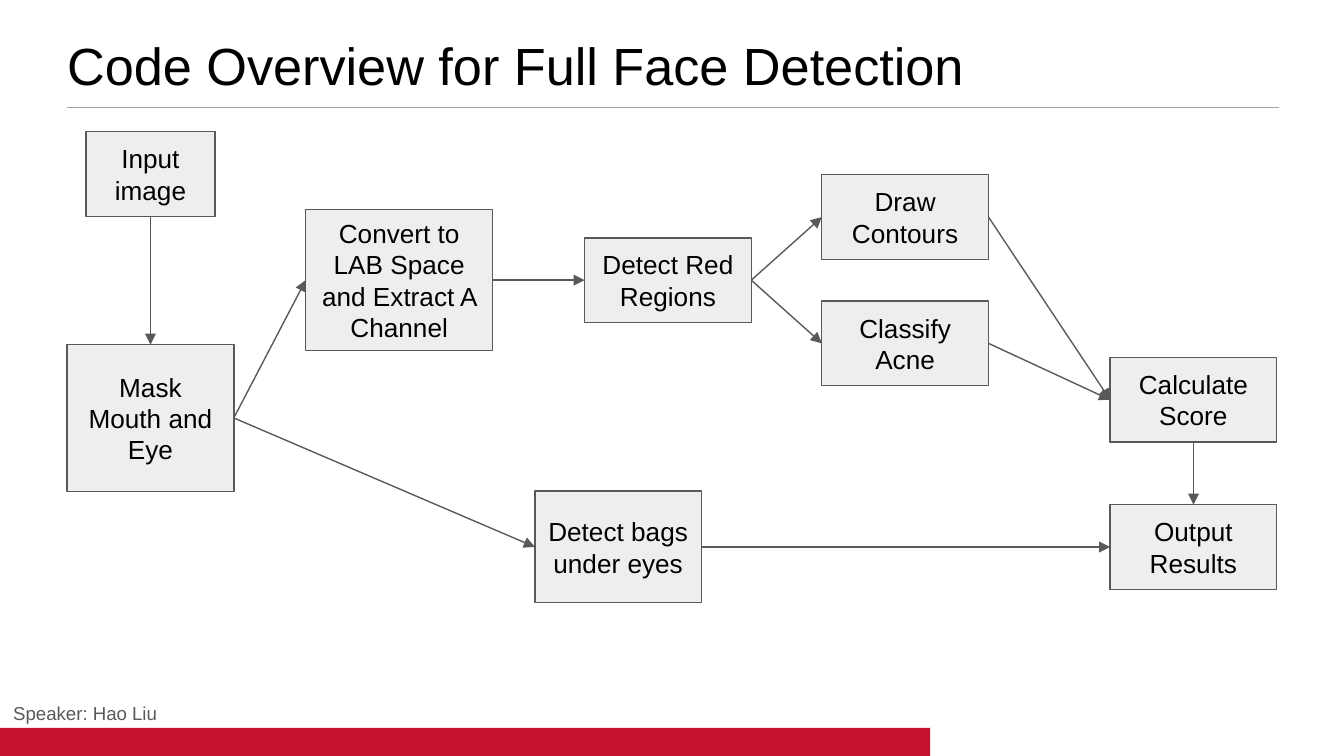
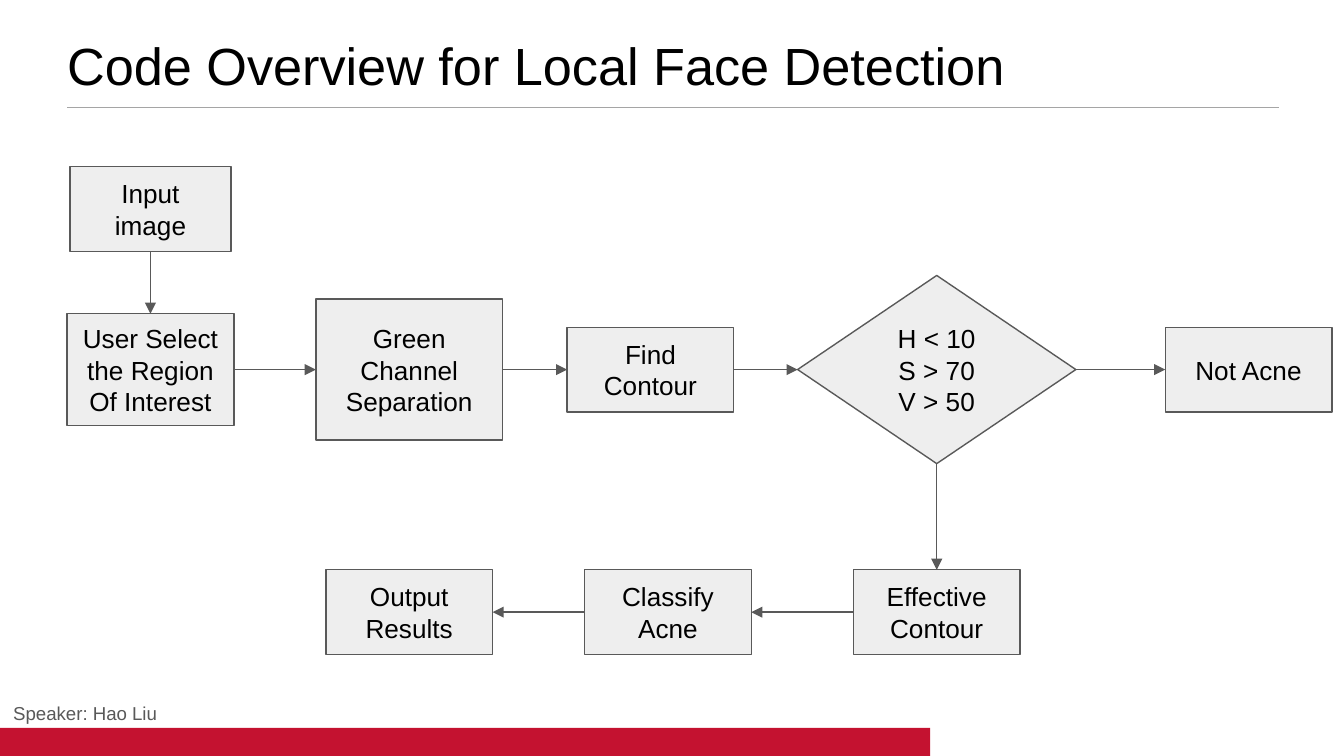
from lxml import etree
from pptx import Presentation
from pptx.dml.color import RGBColor
from pptx.enum.shapes import MSO_CONNECTOR, MSO_SHAPE
from pptx.enum.text import MSO_ANCHOR, PP_ALIGN
from pptx.oxml.ns import qn
from pptx.util import Inches, Pt

PROCESS = MSO_SHAPE.FLOWCHART_PROCESS
DECISION = MSO_SHAPE.FLOWCHART_DECISION
RECTANGLE = MSO_SHAPE.RECTANGLE
STRAIGHT = MSO_CONNECTOR.STRAIGHT
TOP_ANCHOR, MIDDLE_ANCHOR = MSO_ANCHOR.TOP, MSO_ANCHOR.MIDDLE
LEFT_ALIGN, CENTER_ALIGN = PP_ALIGN.LEFT, PP_ALIGN.CENTER

BLACK = RGBColor(0x00, 0x00, 0x00)
DARK_GREY = RGBColor(0x59, 0x59, 0x59)
RULE_GREY = RGBColor(0xA5, 0xA5, 0xA5)
STEP_FILL = RGBColor(0xEE, 0xEE, 0xEE)
BAND_RED = RGBColor(0xC4, 0x12, 0x30)
FONT = "Arial"

SLIDE_W, SLIDE_H = Inches(10), Inches(5.625)
UNIT = SLIDE_W / 100  # one column or row of the grid

# Regions as left, top, width, height in grid units
TITLE_BOX = (5, 3, 90, 4.8)
SPEAKER_BOX = (0, 51.4, 24.5, 2.7)
BAND_BOX = (0, 54.17, 69.2, 2.08)
RULE_ENDS = (5, 95.2, 8)
FLOW_ORIGIN = (5, 8)

# Step sizes as columns, rows
STEP = (12.4, 6.3)
THREE_LINE = (12.4, 8.3)
MASK = (12.4, 10.9)
WIDE = (13.9, 10.5)
NARROW_INPUT, INPUT = (9.6, 6.3), (12, 6.3)
DIAMOND = (20.7, 14)

# Connection sites at the two ends of an arrow
DOWN, RIGHT, LEFT = (2, 0), (3, 1), (1, 3)

# Steps: name -> (text, centre column, centre row, size)
FULL_STEPS = {
    "input": ("Input\nimage", 6.2, 4.95, NARROW_INPUT),
    "mask": ("Mask Mouth and Eye", 6.2, 23.1, MASK),
    "convert": ("Convert to LAB Space and Extract A Channel", 24.7, 12.85, WIDE),
    "bags": ("Detect bags under eyes", 41, 32.7, THREE_LINE),
    "red": ("Detect Red Regions", 44.7, 12.85, STEP),
    "draw": ("Draw Contours", 62.35, 8.15, STEP),
    "classify": ("Classify Acne", 62.35, 17.55, STEP),
    "score": ("Calculate Score", 83.8, 21.75, STEP),
    "output": ("Output Results", 83.8, 32.7, STEP),
}
FULL_ARROWS = [
    ("input", "mask", DOWN), ("mask", "convert", RIGHT),
    ("mask", "bags", RIGHT), ("convert", "red", RIGHT),
    ("red", "draw", RIGHT), ("red", "classify", RIGHT),
    ("draw", "score", RIGHT), ("classify", "score", RIGHT),
    ("score", "output", DOWN), ("bags", "output", RIGHT),
]

MAIN_ROW, RETURN_ROW = 19.5, 37.55
LOCAL_STEPS = {
    "input": ("Input\nimage", 6.2, 7.55, INPUT),
    "region": ("User Select the Region Of Interest", 6.2, MAIN_ROW, THREE_LINE),
    "green": ("Green Channel Separation", 25.45, MAIN_ROW, WIDE),
    "find": ("Find Contour", 43.4, MAIN_ROW, STEP),
    "check": ("H < 10\nS > 70\nV > 50", 64.7, MAIN_ROW, DIAMOND),
    "not acne": ("Not Acne", 87.9, MAIN_ROW, STEP),
    "effective": ("Effective Contour", 64.7, RETURN_ROW, STEP),
    "classify": ("Classify Acne", 44.7, RETURN_ROW, STEP),
    "output": ("Output Results", 25.45, RETURN_ROW, STEP),
}
LOCAL_ARROWS = [
    ("input", "region", DOWN), ("region", "green", RIGHT),
    ("green", "find", RIGHT), ("find", "check", RIGHT),
    ("check", "not acne", RIGHT), ("check", "effective", DOWN),
    ("effective", "classify", LEFT), ("classify", "output", LEFT),
]


def grid(*lengths):
    return [round(length * UNIT) for length in lengths]


def write(holder, text, size, color=BLACK, align=LEFT_ALIGN,
          anchor=TOP_ANCHOR, inset=0.1, spacing=None):
    frame = holder.text_frame
    frame.word_wrap = True
    frame.vertical_anchor = anchor
    frame.margin_left = frame.margin_right = Inches(inset)
    frame.margin_top = frame.margin_bottom = Inches(inset)
    for index, line in enumerate(text.split("\n")):
        paragraph = frame.add_paragraph() if index else frame.paragraphs[0]
        paragraph.alignment = align
        if spacing:
            paragraph.line_spacing = spacing
        run = paragraph.add_run()
        run.text = line
        run.font.name = FONT
        run.font.size = Pt(size)
        run.font.color.rgb = color


def add_block(slide, preset, box, fill, outline=None):
    block = slide.shapes.add_shape(preset, *grid(*box))
    block.shadow.inherit = False
    block.fill.solid()
    block.fill.fore_color.rgb = fill
    if outline is None:
        block.line.fill.background()
    else:
        block.line.color.rgb = outline
        block.line.width = Pt(0.75)
    return block


def add_line(slide, ends, color, width):
    line = slide.shapes.add_connector(STRAIGHT, *grid(*ends))
    line.line.color.rgb = color
    line.line.width = Pt(width)
    etree.SubElement(line._element.spPr, qn("a:effectLst"))
    return line


def add_frame(slide, title):
    # Title and rule
    write(slide.shapes.add_textbox(*grid(*TITLE_BOX)), title, 28,
          inset=0, spacing=0.9)
    left, right, row = RULE_ENDS
    add_line(slide, (left, row, right, row), RULE_GREY, 1)
    # Footer band and speaker
    add_block(slide, RECTANGLE, BAND_BOX, BAND_RED)
    write(slide.shapes.add_textbox(*grid(*SPEAKER_BOX)), "Speaker: Hao Liu",
          10, DARK_GREY)


def add_flow(slide, origin, steps, arrows):
    left, top = origin
    placed = {}
    # Steps
    for name, (text, column, row, size) in steps.items():
        width, height = size
        box = (left + column - width / 2, top + row - height / 2, width, height)
        preset = DECISION if size == DIAMOND else PROCESS
        placed[name] = add_block(slide, preset, box, STEP_FILL, DARK_GREY)
        write(placed[name], text, 14, align=CENTER_ALIGN, anchor=MIDDLE_ANCHOR)
    # Arrows
    for source, target, (begin_site, end_site) in arrows:
        arrow = add_line(slide, (0, 0, 0, 0), DARK_GREY, 0.75)
        arrow.begin_connect(placed[source], begin_site)
        arrow.end_connect(placed[target], end_site)
        etree.SubElement(arrow.line._get_or_add_ln(), qn("a:tailEnd"),
                         type="triangle")


def add_flow_slide(deck, title, steps, arrows):
    slide = deck.slides.add_slide(deck.slide_layouts[6])
    add_frame(slide, title)
    add_flow(slide, FLOW_ORIGIN, steps, arrows)


def main():
    deck = Presentation()
    deck.slide_width, deck.slide_height = SLIDE_W, SLIDE_H
    add_flow_slide(deck, "Code Overview for Full Face Detection",
                   FULL_STEPS, FULL_ARROWS)
    add_flow_slide(deck, "Code Overview for Local Face Detection",
                   LOCAL_STEPS, LOCAL_ARROWS)
    deck.save("out.pptx")


if __name__ == "__main__":
    main()
